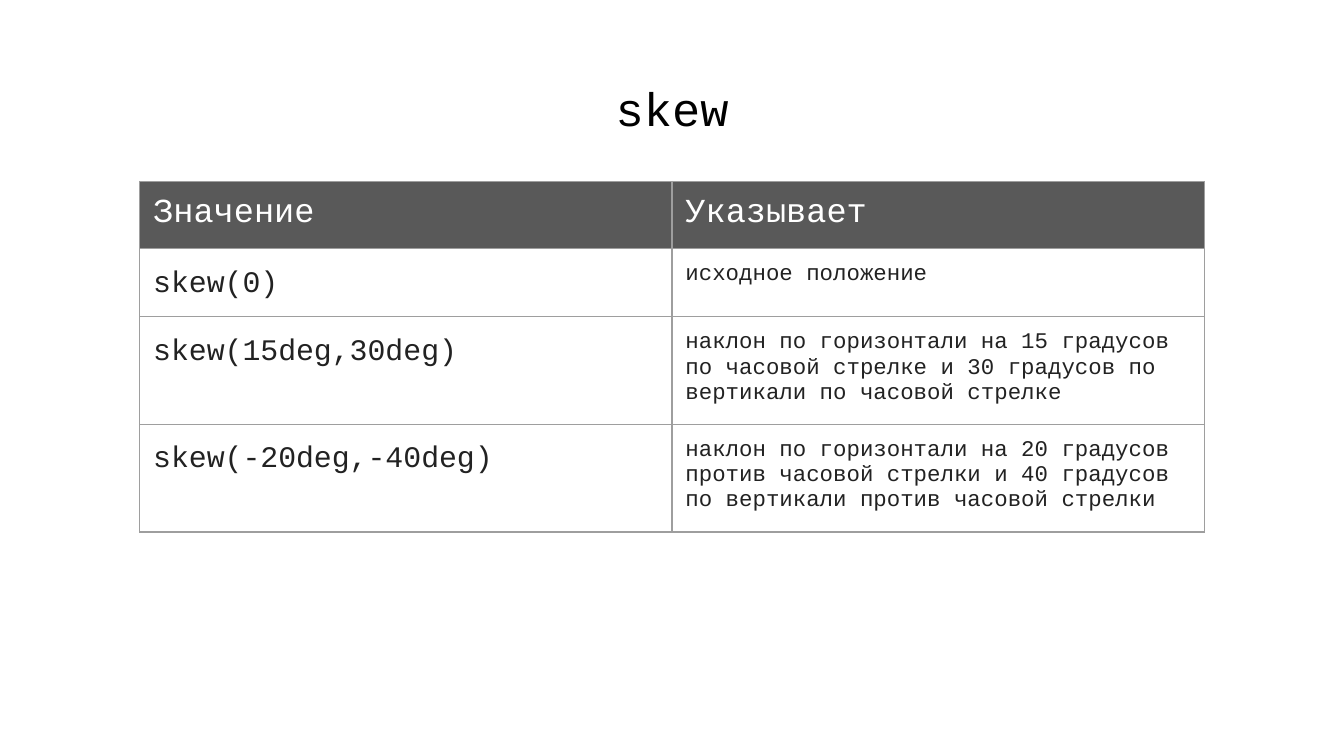
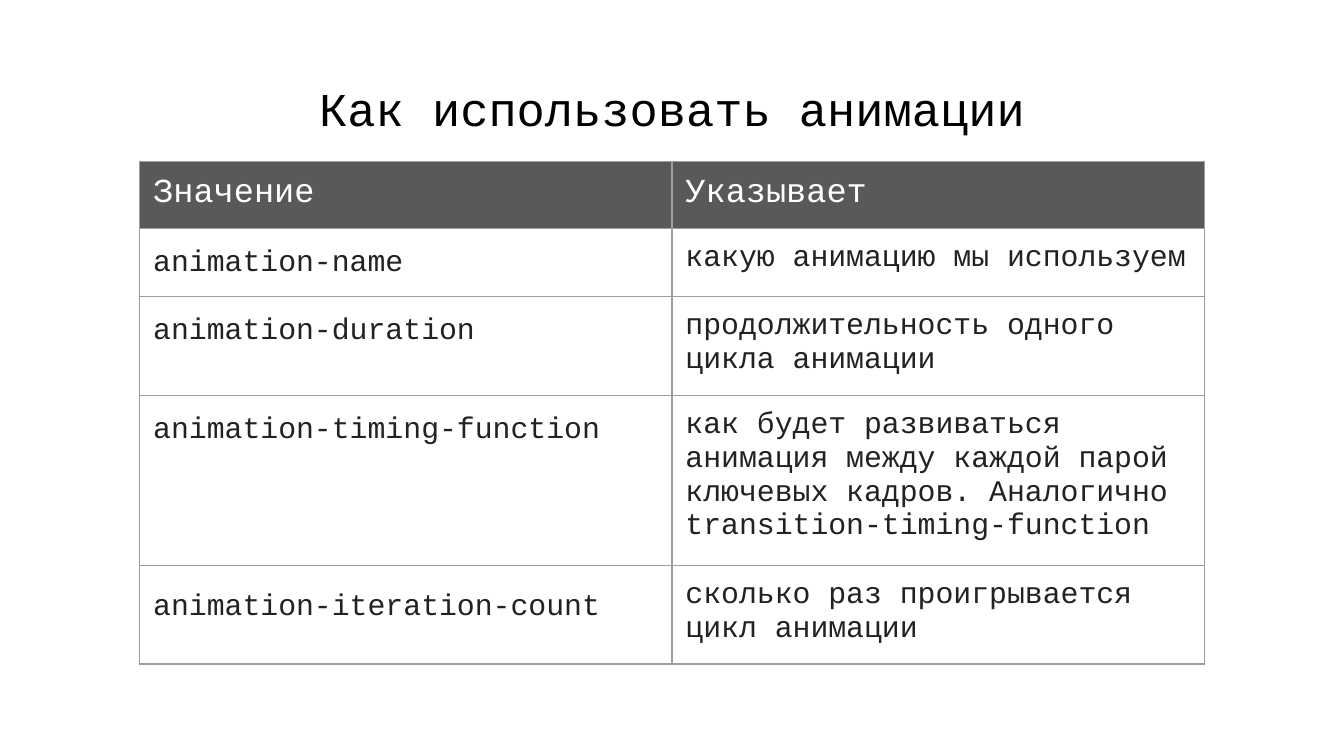
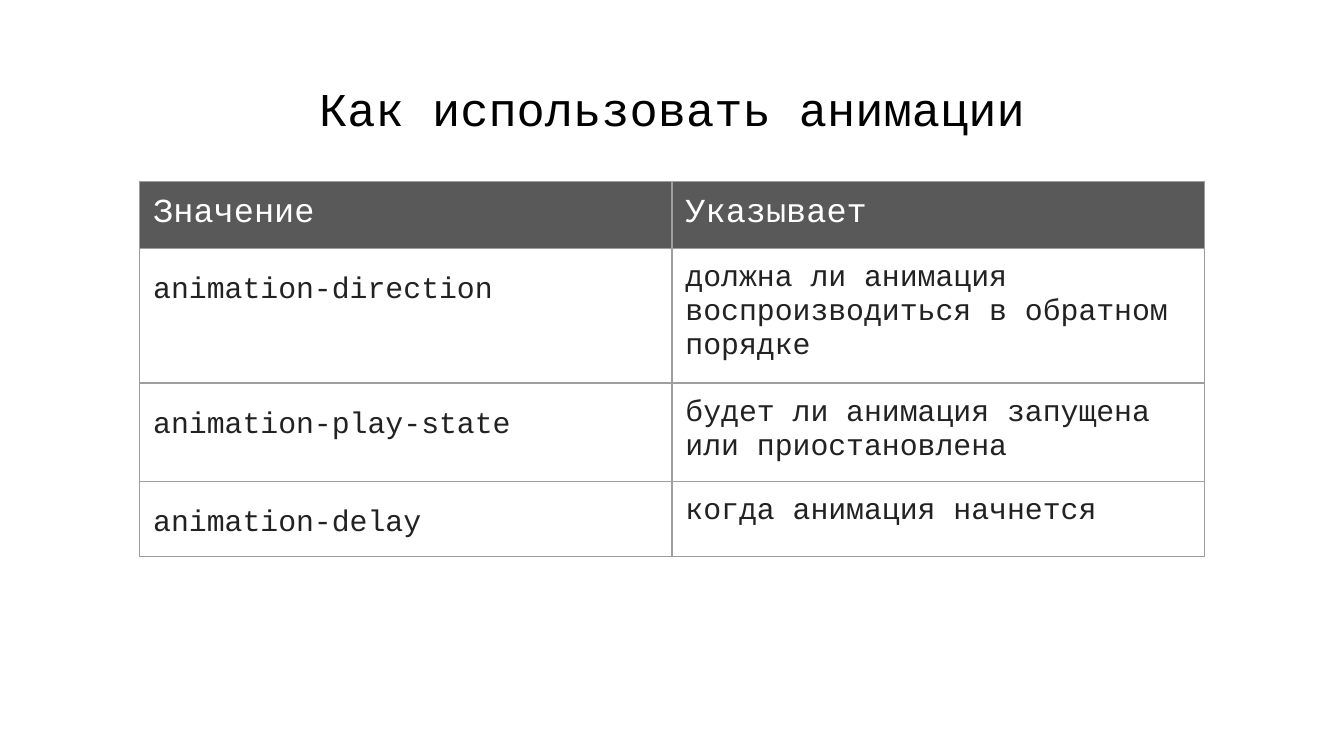
from dataclasses import dataclass

from lxml.etree import SubElement
from pptx import Presentation
from pptx.dml.color import RGBColor
from pptx.enum.text import MSO_ANCHOR, PP_ALIGN
from pptx.oxml.ns import qn
from pptx.slide import Slide
from pptx.table import _Cell as Cell
from pptx.text.text import TextFrame
from pptx.util import Inches, Pt


@dataclass(frozen=True)
class Theme:
    font: str = "Courier New"
    title_color: str = "000000"
    header_color: str = "FFFFFF"
    header_fill: str = "595959"
    body_color: str = "222222"
    border_color: str = "9E9E9E"
    title_size: float = 25.2
    header_size: float = 18
    body_size: float = 16
    small_size: float = 12
    border_width: float = 0.75


THEME = Theme()
SLIDE_WIDTH = Inches(10)
SLIDE_HEIGHT = SLIDE_WIDTH * 9 // 16
INSET = Inches(0.1)
TABLE_LEFT = Inches(1.04)
FRAME_SIZE = Inches(3.28)
COLUMN_WIDTH = Inches(3.96)
ROW_HEIGHT = Inches(0.42)
HEADINGS = ("Значение", "Указывает")


@dataclass(frozen=True)
class Entry:
    """One table row; spaced terms have a taller line and paragraph gaps."""
    term: str
    meaning: str
    spaced: bool = False


@dataclass(frozen=True)
class Reference:
    title: str
    entries: tuple[Entry, ...]
    top: float = 1.35
    meaning_size: float = THEME.body_size


REFERENCES = (
    Reference("skew", (
        Entry("skew(0)", "исходное положение"),
        Entry("skew(15deg,30deg)",
              "наклон по горизонтали на 15 градусов по часовой стрелке "
              "и 30 градусов по вертикали по часовой стрелке"),
        Entry("skew(-20deg,-40deg)",
              "наклон по горизонтали на 20 градусов против часовой стрелки "
              "и 40 градусов по вертикали против часовой стрелки"),
    ), meaning_size=THEME.small_size),
    Reference("Как использовать анимации", (
        Entry("animation-name", "какую анимацию мы используем"),
        Entry("animation-duration", "продолжительность одного цикла анимации"),
        Entry("animation-timing-function",
              "как будет развиваться анимация между каждой парой ключевых "
              "кадров. Аналогично transition-timing-function"),
        Entry("animation-iteration-count",
              "сколько раз проигрывается цикл анимации", spaced=True),
    ), top=1.2),
    Reference("Как использовать анимации", (
        Entry("animation-direction",
              "должна ли анимация воспроизводиться в обратном порядке", spaced=True),
        Entry("animation-play-state",
              "будет ли анимация запущена или приостановлена", spaced=True),
        Entry("animation-delay", "когда анимация начнется", spaced=True),
    )),
)


def write_text(frame: TextFrame, text: str, *, size: float, color: str,
               align: PP_ALIGN = PP_ALIGN.LEFT, line_spacing: float = 1.0,
               before: float = 0, after: float = 0) -> None:
    frame.word_wrap = True
    paragraph = frame.paragraphs[0]
    paragraph.alignment = align
    paragraph.line_spacing = line_spacing
    paragraph.space_before = Pt(before)
    paragraph.space_after = Pt(after)
    run = paragraph.add_run()
    run.text = text
    run.font.name = THEME.font
    run.font.size = Pt(size)
    run.font.bold = False
    run.font.color.rgb = RGBColor.from_string(color)


def add_title(slide: Slide, title: str) -> None:
    box = slide.shapes.add_textbox(Inches(0.34), Inches(0.49), Inches(9.32), Inches(0.63))
    frame = box.text_frame
    frame.margin_left = frame.margin_top = frame.margin_right = frame.margin_bottom = INSET
    write_text(frame, title, size=THEME.title_size, color=THEME.title_color,
               align=PP_ALIGN.CENTER)


def style_cell(cell: Cell, fill: str | None = None) -> None:
    cell.margin_left = cell.margin_top = cell.margin_right = cell.margin_bottom = INSET
    cell.vertical_anchor = MSO_ANCHOR.TOP
    properties = cell._tc.get_or_add_tcPr()
    for side in ("lnL", "lnR", "lnT", "lnB"):
        border = SubElement(properties, qn(f"a:{side}"), w=str(Pt(THEME.border_width)))
        solid = SubElement(border, qn("a:solidFill"))
        SubElement(solid, qn("a:srgbClr"), val=THEME.border_color)
    if fill is None:
        cell.fill.background()
    else:
        cell.fill.solid()
        cell.fill.fore_color.rgb = RGBColor.from_string(fill)


def add_reference_table(slide: Slide, reference: Reference) -> None:
    """Add the table; its rows grow from a minimum height to fit their text."""
    table = slide.shapes.add_table(
        len(reference.entries) + 1, len(HEADINGS), TABLE_LEFT,
        Inches(reference.top), FRAME_SIZE, FRAME_SIZE).table
    table.horz_banding = False
    for column in table.columns:
        column.width = COLUMN_WIDTH
    for row in table.rows:
        row.height = ROW_HEIGHT
    frame = table._graphic_frame
    frame.width = frame.height = FRAME_SIZE

    for index, heading in enumerate(HEADINGS):
        cell = table.cell(0, index)
        style_cell(cell, THEME.header_fill)
        write_text(cell.text_frame, heading, size=THEME.header_size,
                   color=THEME.header_color)

    for index, entry in enumerate(reference.entries, start=1):
        term, meaning = table.cell(index, 0), table.cell(index, 1)
        style_cell(term)
        style_cell(meaning)
        spacing = (dict(line_spacing=1.35, before=23, after=15) if entry.spaced
                   else dict(line_spacing=1.15))
        write_text(term.text_frame, entry.term, size=THEME.body_size,
                   color=THEME.body_color, **spacing)
        write_text(meaning.text_frame, entry.meaning, size=reference.meaning_size,
                   color=THEME.body_color)


def main() -> None:
    deck = Presentation()
    deck.slide_width = SLIDE_WIDTH
    deck.slide_height = SLIDE_HEIGHT
    blank = deck.slide_layouts[6]
    for reference in REFERENCES:
        slide = deck.slides.add_slide(blank)
        add_title(slide, reference.title)
        add_reference_table(slide, reference)
    deck.save("out.pptx")


if __name__ == "__main__":
    main()
